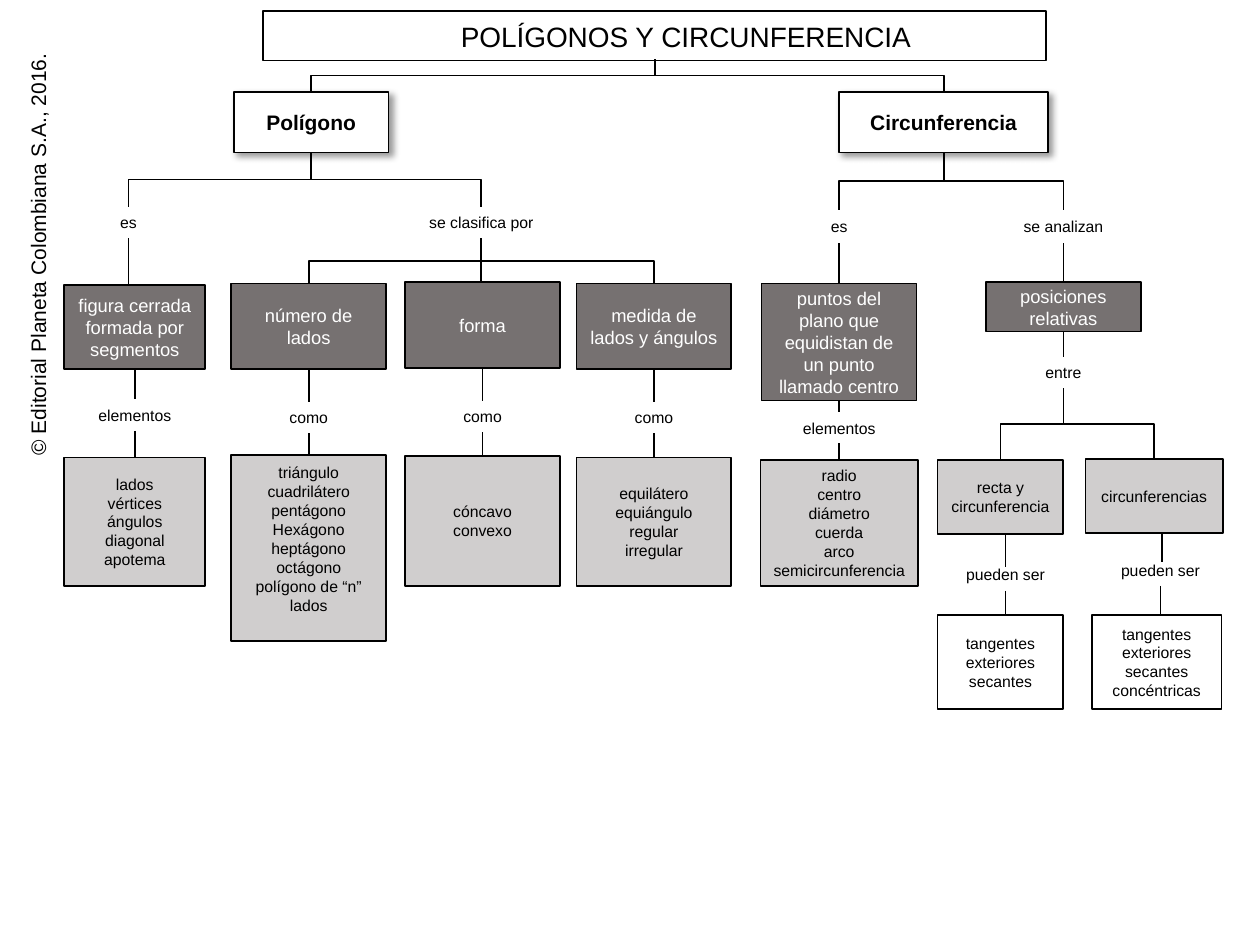
from lxml import etree
from pptx import Presentation
from pptx import util as u
from pptx.dml.color import RGBColor
from pptx.enum import shapes, text
from pptx.oxml.ns import qn

COLORS = {"black": "000000", "white": "FFFFFF", "dark": "767171", "light": "D0CECE"}
COL = {"definition": 1.07, "sides": 2.45, "shape": 3.83, "angles": 5.19,
       "circle": 6.66, "line": 7.94, "positions": 8.44, "circles": 9.16}
POLYGON, CIRCLE = 2.47, 7.49
WIDE, LABEL_H = 1.23, 0.25
STYLES = {
    "topic": ("white", "black", 12, True),
    "concept": ("dark", "white", 10.5, False),
    "list": ("light", "black", 9, False),
    "relation": ("white", "black", 9, False),
}


def color(name):
    return RGBColor.from_string(COLORS[name])


def write(tf, lines, size, ink="black", bold=False):
    tf.word_wrap = True
    tf.text = "\n".join(lines)
    for p in tf.paragraphs:
        p.alignment = text.PP_ALIGN.CENTER
        p.font.name = "Arial"
        p.font.size = u.Pt(size)
        p.font.bold = bold
        p.font.color.rgb = color(ink)


def paint(sp, fill):
    sp.fill.solid()
    sp.fill.fore_color.rgb = color(fill)
    sp.line.color.rgb = color("black")
    sp.line.width = u.Pt(1)


def add_shadow(sp):
    effects = sp._element.spPr.find(qn("a:effectLst"))
    shadow = etree.SubElement(effects, qn("a:outerShdw"), blurRad=str(u.Pt(4)),
                              dist=str(u.Pt(3)), dir="2700000", algn="tl", rotWithShape="0")
    ink = etree.SubElement(shadow, qn("a:srgbClr"), val=COLORS["black"])
    etree.SubElement(ink, qn("a:alpha"), val="40000")


def add_title(s, words):
    sp = s.shapes.title
    sp.left, sp.top, sp.width, sp.height = map(u.Inches, (2.09, 0.09, 6.21, 0.39))
    paint(sp, "white")
    tf = sp.text_frame
    tf.auto_size = text.MSO_AUTO_SIZE.NONE
    tf.vertical_anchor = text.MSO_ANCHOR.MIDDLE
    write(tf, [words], 16)
    tf.paragraphs[0]._p.get_or_add_pPr().set("marL", str(u.Inches(0.5)))


def add_box(s, style, x, top, width, height, *lines):
    fill, ink, size, bold = STYLES[style]
    sp = s.shapes.add_shape(shapes.MSO_SHAPE.RECTANGLE, u.Inches(x - width / 2),
                            u.Inches(top), u.Inches(width), u.Inches(height))
    sp.shadow.inherit = False
    paint(sp, fill)
    if style == "topic":
        add_shadow(sp)
    sp.text_frame.vertical_anchor = text.MSO_ANCHOR.MIDDLE
    write(sp.text_frame, lines, size, ink, bold)
    return sp


def add_label(s, x, top, words, width=WIDE, size=9):
    sp = s.shapes.add_textbox(u.Inches(x - width / 2), u.Inches(top),
                              u.Inches(width), u.Inches(LABEL_H))
    write(sp.text_frame, [words], size)
    return sp


def add_line(s, kind, *ends):
    cn = s.shapes.add_connector(kind, *map(u.Inches, ends))
    cn.line.color.rgb = color("black")
    cn.line.width = u.Pt(1)
    etree.SubElement(cn._element.spPr, qn("a:effectLst"))
    return cn


def add_link(s, x, top, bottom):
    add_line(s, shapes.MSO_CONNECTOR.STRAIGHT, x, top, x, bottom)


def add_fork(s, x, top, bottom, *targets):
    for target in targets:
        cx, cy = (x + target) / 2, (top + bottom) / 2
        half_w, half_h = (bottom - top) / 2, abs(target - x) / 2
        side = 1 if target < x else -1
        cn = add_line(s, shapes.MSO_CONNECTOR.ELBOW, cx - side * half_w, cy - half_h,
                      cx + side * half_w, cy + half_h)
        cn._element.spPr.find(qn("a:xfrm")).set("rot", str(side * 90 % 360 * 60000))


def add_polygon_branch(s):
    add_box(s, "topic", POLYGON, 0.73, WIDE, 0.48, "Polígono")
    add_fork(s, POLYGON, 1.21, 1.64, 1.02, 3.82)
    add_label(s, 1.02, 1.64, "es")
    add_link(s, 1.02, 1.89, 2.26)
    add_label(s, 3.82, 1.64, "se clasifica por")
    add_fork(s, 3.82, 1.89, 2.25, COL["sides"], COL["angles"])
    add_link(s, 3.82, 1.89, 2.25)
    columns = [
        ("definition", 1.12, 2.26, 0.67, "figura cerrada formada por segmentos", 3.17, "elementos",
         3.63, 1.02, ["lados", "vértices", "ángulos", "diagonal", "apotema"]),
        ("sides", WIDE, 2.25, 0.68, "número de lados", 3.19, "como", 3.61, 1.48,
         ["triángulo", "cuadrilátero", "pentágono", "Hexágono", "heptágono", "octágono",
          "polígono de “n” lados"]),
        ("shape", WIDE, 2.24, 0.68, "forma", 3.18, "como", 3.62, 1.03, ["cóncavo", "convexo"]),
        ("angles", WIDE, 2.25, 0.68, "medida de lados y ángulos", 3.19, "como", 3.63, 1.02,
         ["equilátero", "equiángulo", "regular", "irregular"]),
    ]
    for name, width, top, height, concept, label_top, label, list_top, list_h, items in columns:
        x = COL[name]
        add_link(s, x, top + height, label_top)
        add_link(s, x, label_top + LABEL_H, list_top)
        add_box(s, "concept", x, top, width, height, concept)
        add_label(s, x, label_top, label)
        sp = add_box(s, "list", x, list_top, width, list_h, *items)
        if name == "sides":
            sp.text_frame.margin_bottom = u.Inches(0.2)


def add_circle_branch(s):
    circle, positions = COL["circle"], COL["positions"]
    add_box(s, "topic", CIRCLE, 0.73, 1.66, 0.48, "Circunferencia")
    add_fork(s, CIRCLE, 1.21, 1.67, circle, positions)
    for x, top, bottom in [(circle, 1.93, 2.25), (circle, 3.18, 3.27), (circle, 3.52, 3.65),
                           (positions, 1.93, 2.24), (positions, 2.63, 2.83),
                           (7.98, 4.23, 4.5), (7.98, 4.69, 4.88),
                           (9.22, 4.23, 4.46), (9.21, 4.65, 4.88)]:
        add_link(s, x, top, bottom)
    add_fork(s, positions, 3.08, 3.65, COL["line"], COL["circles"])
    for x, top, words in [(circle, 1.67, "es"), (positions, 1.67, "se analizan"),
                          (circle, 3.27, "elementos"), (positions, 2.83, "entre"),
                          (7.98, 4.43, "pueden ser"), (9.21, 4.4, "pueden ser")]:
        add_label(s, x, top, words)
    add_box(s, "concept", circle, 2.25, WIDE, 0.93,
            "puntos del plano que equidistan de un punto llamado centro")
    add_box(s, "list", circle, 3.65, 1.25, 1, "radio", "centro", "diámetro", "cuerda", "arco",
            "semicircunferencia")
    add_box(s, "concept", positions, 2.24, WIDE, 0.39, "posiciones relativas")
    add_box(s, "list", COL["line"], 3.65, 1, 0.59, "recta y circunferencia")
    add_box(s, "list", COL["circles"], 3.64, 1.09, 0.59, "circunferencias")
    add_box(s, "relation", COL["line"], 4.88, 1, 0.75, "tangentes", "exteriores", "secantes")
    add_box(s, "relation", 9.18, 4.88, 1.03, 0.75,
            "tangentes exteriores secantes concéntricas")


def main():
    prs = Presentation()
    prs.slide_width, prs.slide_height = u.Inches(10), u.Inches(7.5)
    s = prs.slides.add_slide(prs.slide_layouts[5])
    credit = add_label(s, 0.3, 1.87, "© Editorial Planeta Colombiana S.A., 2016.", 3.41, 12)
    credit.height = u.Inches(0.3)
    credit.rotation = 270
    add_title(s, "POLÍGONOS Y CIRCUNFERENCIA")
    add_fork(s, 5.2, 0.47, 0.73, POLYGON, CIRCLE)
    add_polygon_branch(s)
    add_circle_branch(s)
    prs.save("out.pptx")


if __name__ == "__main__":
    main()
